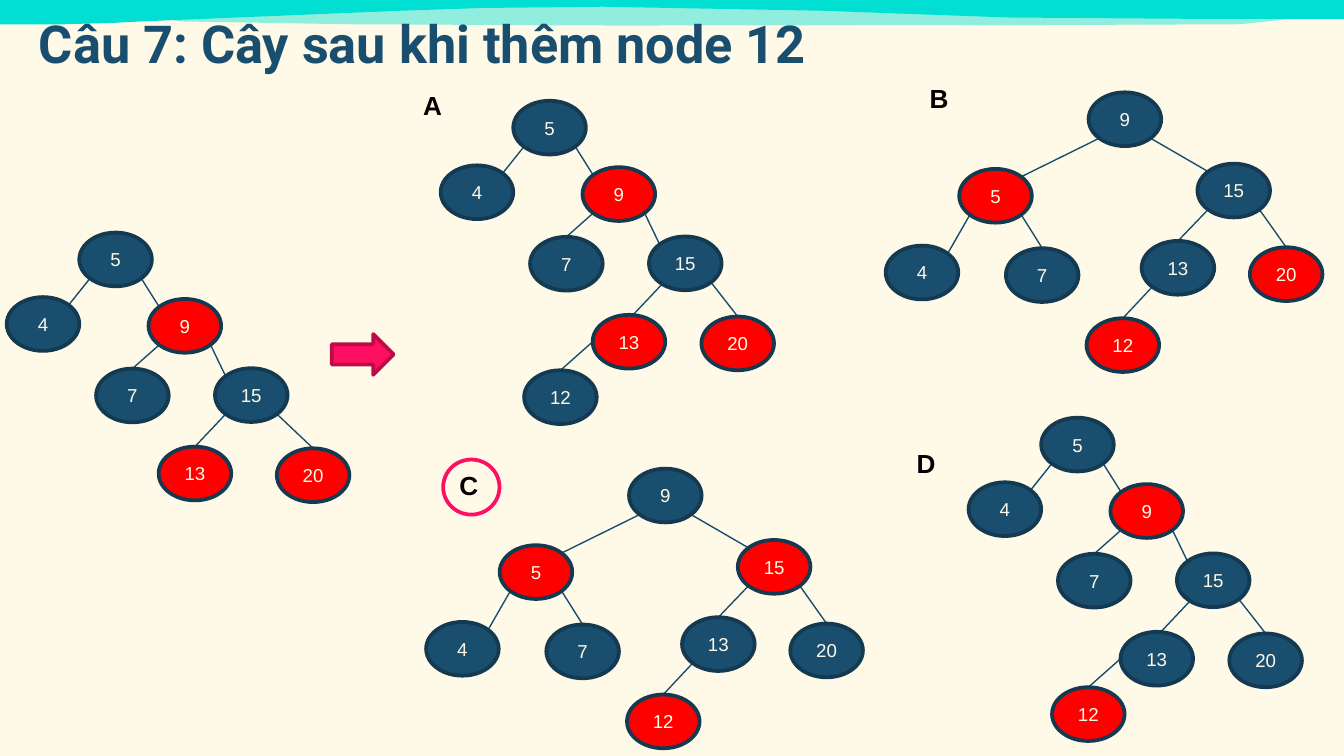
from lxml import etree
from pptx import Presentation
from pptx.dml.color import RGBColor
from pptx.enum import shapes, text
from pptx.oxml import ns
from pptx.util import Pt

CREAM = RGBColor(0xFF, 0xF9, 0xE7)
TEAL = RGBColor(0x00, 0xDF, 0xD1)
NAVY = RGBColor(0x1A, 0x4E, 0x6E)
NODE_LINE = RGBColor(0x13, 0x3A, 0x51)
EDGE = RGBColor(0x17, 0x4D, 0x6E)
RED = RGBColor(0xFF, 0x00, 0x00)
PINK = RGBColor(0xFF, 0x0F, 0x62)
PINK_LINE = RGBColor(0xBD, 0x0B, 0x49)
BLACK = RGBColor(0, 0, 0)
NODE_W, NODE_H = 38.9, 28.8


def put_text(sp, words, size=10, font="Arial", color=CREAM, bold=False,
             align=text.PP_ALIGN.LEFT, anchor=text.MSO_ANCHOR.TOP, inset=(7.2, 3.6)):
    tf = sp.text_frame
    tf.word_wrap = True
    tf.vertical_anchor = anchor
    tf.margin_left = tf.margin_right = Pt(inset[0])
    tf.margin_top = tf.margin_bottom = Pt(inset[1])
    p = tf.paragraphs[0]
    p.alignment = align
    r = p.add_run()
    r.text = words
    r.font.size, r.font.name, r.font.bold = Pt(size), font, bold
    r.font.color.rgb = color


def style(sp, fill, line=None):
    sp.shadow.inherit = False
    sp.fill.solid()
    sp.fill.fore_color.rgb = fill
    if line is None:
        sp.line.fill.background()
    else:
        sp.line.color.rgb = line
        sp.line.width = Pt(2)


prs = Presentation()
prs.slide_width, prs.slide_height = Pt(720), Pt(405)
s = prs.slides.add_slide(prs.slide_layouts[5])
s.background.fill.solid()
s.background.fill.fore_color.rgb = CREAM

# Waves along the top edge
WAVE = [(0, 13), (34, 13), (62, 12.2), (75, 11.5), (214, 5.8), (258, 4.3), (323, 3.6),
        (442, 5.8), (480, 7.2), (541, 9.4), (638, 10.1), (720, 10.1), (720, 0), (0, 0)]
BAND = [(70.6, 2.9), (715, 4.3), (707, 8.4), (664.6, 13), (570, 13.4), (330, 13.7),
        (186, 13), (96.5, 11.5), (71.3, 6.4)]
for outline in (WAVE, BAND):
    pts = [(Pt(x), Pt(y)) for x, y in outline]
    fb = s.shapes.build_freeform(*pts[0])
    fb.add_line_segments(pts[1:], close=True)
    sp = fb.convert_to_shape()
    style(sp, TEAL)
clr = sp.element.spPr.find(ns.qn("a:solidFill"))[0]
etree.SubElement(clr, ns.qn("a:alpha")).set("val", "43000")

# Title, in front of the waves
title = s.shapes.title
title.left, title.top, title.width, title.height = Pt(13.7), Pt(-2.9), Pt(683.3), Pt(49.7)
put_text(title, "Câu 7: Cây sau khi thêm node 12", size=28, font="Roboto", color=NAVY,
         bold=True, anchor=text.MSO_ANCHOR.BOTTOM, inset=(7.2, 7.2))
title.element.getparent().append(title.element)

# Places on a node where edges start and end, as shares of its size
SITE = {"top": (0.5, 0), "left": (0, 0.5), "tl": (0.146, 0.146), "tr": (0.854, 0.146),
        "bl": (0.146, 0.854), "br": (0.854, 0.854)}

# Node offsets from the root, and edges as parent, site, child, site
CHAIN = ({5: (0, 0), 4: (-38.9, 34.6), 9: (37.1, 35.6), 7: (9, 72.9), 15: (72.7, 72.7),
          13: (42.5, 114.7), 20: (100.8, 115.6), 12: (5.8, 144.4)},
         [(5, "bl", 4, "tr"), (5, "br", 9, "tl"), (9, "bl", 7, "top"), (9, "br", 15, "tl"),
          (15, "bl", 13, "top"), (15, "br", 20, "top"), (13, "left", 12, "top")])
BALANCED = ({9: (0, 0), 5: (-69.3, 41), 4: (-108.7, 82.1), 7: (-44.3, 83.5),
             15: (58.3, 38.2), 13: (28.4, 79.6), 20: (86.4, 83), 12: (-1.1, 121)},
            [(9, "bl", 5, "tr"), (9, "br", 15, "tl"), (5, "bl", 4, "tr"), (5, "br", 7, "top"),
             (15, "bl", 13, "top"), (15, "br", 20, "top"), (13, "bl", 12, "top")])

# Layout, root left and top, red nodes, missing nodes, own offsets, shift of edge 15-13
TREES = [
    (CHAIN, 42.5, 124.6, {9, 13, 20}, {12}, {20: (105.8, 115.6)}, 0),
    (CHAIN, 275, 54, {9, 13, 20}, set(), {}, 2.2),
    (BALANCED, 583.2, 49.5, {5, 20, 12}, set(), {}, 0),
    (BALANCED, 337, 251.1, {5, 15, 12}, set(), {}, 0),
    (CHAIN, 557.8, 223.8, {9, 12}, set(), {}, 2.2),
]
for (offsets, edges), left, top, reds, missing, own, shift in TREES:
    nodes = {n: (left + dx, top + dy) for n, (dx, dy) in {**offsets, **own}.items()
             if n not in missing}
    for parent, out, child, into in edges:
        if child in missing:
            continue
        nudge = shift if (parent, child) == (15, 13) else 0
        ends = []
        for n, site in ((parent, out), (child, into)):
            fx, fy = SITE[site]
            ends += [Pt(nodes[n][0] + fx * NODE_W + nudge), Pt(nodes[n][1] + fy * NODE_H)]
        cx = s.shapes.add_connector(shapes.MSO_CONNECTOR.STRAIGHT, *ends)
        cx.line.color.rgb = EDGE
        cx.line.width = Pt(0.75)
        etree.SubElement(cx.element.spPr, ns.qn("a:effectLst"))
    for n, (x, y) in nodes.items():
        sp = s.shapes.add_shape(shapes.MSO_SHAPE.OVAL, Pt(x), Pt(y), Pt(NODE_W), Pt(NODE_H))
        style(sp, RED if n in reds else NAVY, NODE_LINE)
        put_text(sp, str(n), align=text.PP_ALIGN.CENTER, anchor=text.MSO_ANCHOR.MIDDLE,
                 inset=(0, 0))

# Arrow and the ring round the right answer
for kind, box, fill, line in (
        (shapes.MSO_SHAPE.RIGHT_ARROW, (177.8, 179, 33.1, 21.8), PINK, PINK_LINE),
        (shapes.MSO_SHAPE.OVAL, (237.4, 246.2, 30.2, 29.5), CREAM, PINK)):
    sp = s.shapes.add_shape(kind, *map(Pt, box))
    style(sp, fill, line)

# Answer letters
for letter, x, y, w in (("A", 219.6, 44.6, 27.4), ("B", 491, 40.6, 33.1),
                        ("C", 239, 247.7, 33.1), ("D", 484, 236.2, 30.2)):
    tb = s.shapes.add_textbox(Pt(x), Pt(y), Pt(w), Pt(24.2))
    put_text(tb, letter, size=14, color=BLACK, bold=True)

prs.save("out.pptx")
